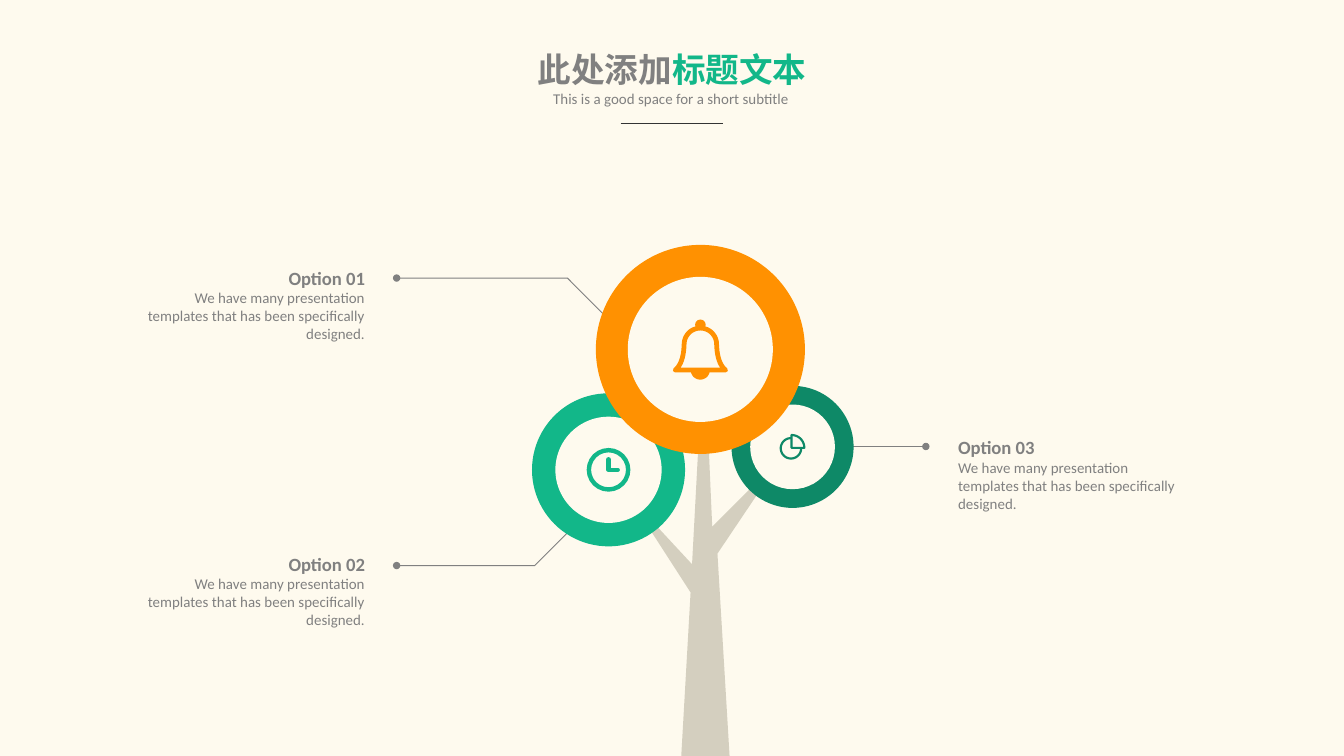
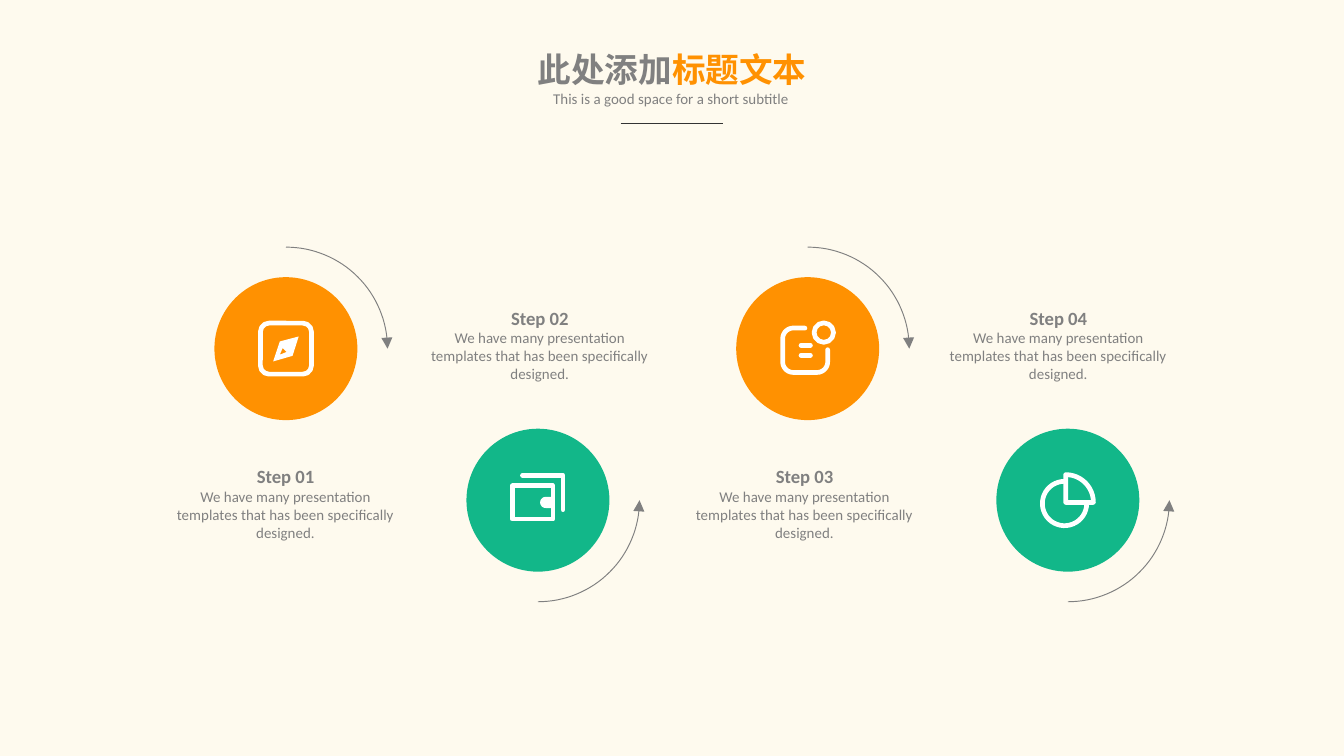
from dataclasses import dataclass
from math import cos, radians, sin

from lxml.etree import SubElement
from pptx import Presentation
from pptx.dml.color import RGBColor
from pptx.enum.shapes import MSO_CONNECTOR, MSO_SHAPE
from pptx.enum.text import MSO_ANCHOR, MSO_AUTO_SIZE, PP_ALIGN
from pptx.oxml.ns import qn
from pptx.util import Pt

HUES = {
    "cream": "FEFAEE", "gray": "808080", "dark": "333333", "bark": "2E2403",
    "orange": "FF9101", "mint": "12B789", "pine": "0E8967", "white": "FFFFFF",
}
FONT = "Calibri"
BLURB = "We have many presentation templates that has been specifically designed."


def hue(name):
    return RGBColor.from_string(HUES[name])


def arc(x, y, r, start, end, steps=32):
    turns = [radians(start + (end - start) * i / steps) for i in range(steps + 1)]
    return [(x + r * cos(t), y + r * sin(t)) for t in turns]


def bend(a, b, c, steps=10):
    ts = [i / steps for i in range(steps + 1)]
    return [tuple((1 - t) ** 2 * p + 2 * t * (1 - t) * q + t * t * r
                  for p, q, r in zip(a, b, c)) for t in ts]


def paint(shape, color, width=0):
    shape.shadow.inherit = False
    if width:
        shape.fill.background()
        shape.line.color.rgb = hue(color)
        shape.line.width = Pt(width)
    else:
        shape.fill.solid()
        shape.fill.fore_color.rgb = hue(color)
        shape.line.fill.background()
    return shape


def disc(page, x, y, size, color, width=0):
    shape = page.shapes.add_shape(
        MSO_SHAPE.OVAL, Pt(x - size / 2), Pt(y - size / 2), Pt(size), Pt(size))
    return paint(shape, color, width)


def trace(page, dots, color, width=0, closed=False, hole=()):
    dots = [(Pt(x), Pt(y)) for x, y in dots]
    form = page.shapes.build_freeform(*dots[0])
    form.add_line_segments(dots[1:], close=closed)
    if hole:
        inner = [(Pt(x), Pt(y)) for x, y in hole]
        form.move_to(*inner[0])
        form.add_line_segments(inner[1:], close=True)
    return paint(form.convert_to_shape(), color, width)


def tip(shape, kind, size="med"):
    SubElement(shape.line._get_or_add_ln(), qn("a:tailEnd"),
               type=kind, w=size, len=size)


def rule(page, x, y, end, color):
    line = page.shapes.add_connector(
        MSO_CONNECTOR.STRAIGHT, Pt(x), Pt(y), Pt(end), Pt(y))
    line.line.color.rgb = hue(color)
    line.line.width = Pt(0.5)
    SubElement(line._element.spPr, qn("a:effectLst"))
    return line


def style(para, size, align, bold=False):
    para.alignment = align
    para.font.name = FONT
    para.font.size = Pt(size)
    para.font.bold = bold
    para.font.color.rgb = hue("gray")


def note(page, x, y, head, align):
    frame = page.shapes.add_textbox(Pt(x), Pt(y), Pt(119), Pt(41)).text_frame
    frame.margin_left = frame.margin_right = 0
    frame.margin_top = frame.margin_bottom = 0
    frame.word_wrap = True
    frame.text = f"{head}\n{BLURB}"
    style(frame.paragraphs[0], 10, align, True)
    style(frame.paragraphs[1], 8, align)


@dataclass
class Pen:
    page: object
    x: float
    y: float
    size: float
    color: str

    def spot(self, x, y):
        return self.x + (x - 0.5) * self.size, self.y + (y - 0.5) * self.size

    def disc(self, x, y, size, width=0):
        disc(self.page, *self.spot(x, y), size * self.size, self.color,
             width * self.size)

    def fill(self, dots, hole=()):
        trace(self.page, [self.spot(*d) for d in dots], self.color, closed=True,
              hole=[self.spot(*d) for d in hole])

    def draw(self, dots, width=0.085, closed=False):
        shape = trace(self.page, [self.spot(*d) for d in dots], self.color,
                      width * self.size, closed)
        edge = shape.line._get_or_add_ln()
        edge.set("cap", "rnd")
        SubElement(edge, qn("a:round"))


def bell(pen):
    pen.draw(bend((0.05, 0.87), (0.2, 0.75), (0.21, 0.41))
             + arc(0.5, 0.41, 0.29, 180, 360)
             + bend((0.79, 0.41), (0.8, 0.75), (0.95, 0.87)), closed=True)
    pen.disc(0.5, 0.06, 0.19)
    pen.fill(arc(0.5, 0.87, 0.17, 0, 180))


def clock(pen):
    pen.disc(0.5, 0.5, 0.9, 0.1)
    pen.draw([(0.5, 0.26), (0.5, 0.5), (0.71, 0.5)], 0.1)


def pie(pen):
    pen.draw(arc(0.44, 0.56, 0.4, 0, 270))
    pen.draw([(0.46, 0.54)] + arc(0.46, 0.54, 0.5, 270, 360), closed=True)


def compass(pen):
    x, y = pen.spot(0.04, 0.04)
    side = Pt(0.92 * pen.size)
    box = pen.page.shapes.add_shape(
        MSO_SHAPE.ROUNDED_RECTANGLE, Pt(x), Pt(y), side, side)
    paint(box, pen.color, 0.085 * pen.size)
    pen.fill([(0.73, 0.28), (0.39, 0.37), (0.27, 0.73), (0.62, 0.63)],
             [(0.39, 0.61), (0.44, 0.49), (0.51, 0.56)])


def wallet(pen):
    pen.draw([(0.04, 0.24), (0.77, 0.24), (0.77, 0.84), (0.04, 0.84)], closed=True)
    pen.fill(arc(0.64, 0.54, 0.1, 90, 270) + [(0.77, 0.44), (0.77, 0.64)])
    pen.draw([(0.22, 0.05), (0.95, 0.05), (0.95, 0.67)])


def memo(pen):
    pen.draw([(0.45, 0.13)] + arc(0.24, 0.32, 0.19, 270, 180)
             + arc(0.24, 0.74, 0.19, 180, 90) + arc(0.67, 0.74, 0.19, 90, 0)
             + [(0.86, 0.52)])
    pen.disc(0.79, 0.21, 0.35, 0.085)
    for y in (0.44, 0.62):
        pen.draw([(0.38, y), (0.55, y)])


def header(page, accent):
    title = page.shapes.title
    title.left, title.top, title.width, title.height = (
        Pt(279.5), Pt(22.5), Pt(161), Pt(29))
    frame = title.text_frame
    frame.word_wrap = False
    frame.auto_size = MSO_AUTO_SIZE.NONE
    frame.vertical_anchor = MSO_ANCHOR.TOP
    para = frame.paragraphs[0]
    style(para, 18, PP_ALIGN.CENTER, True)
    for text, color in (("此处添加", "gray"), ("标题文本", accent)):
        run = para.add_run()
        run.text = text
        run.font.color.rgb = hue(color)
    sub = page.shapes.add_textbox(Pt(288.5), Pt(44.5), Pt(142), Pt(17)).text_frame
    sub.word_wrap = False
    sub.text = "This is a good space for a short subtitle"
    style(sub.paragraphs[0], 8, PP_ALIGN.CENTER)
    rule(page, 332.5, 66, 387.5, "dark")


def trunk(page, x, y):
    dots = [(28.8, 223), (54.7, 223), (48.2, 114.6), (83.5, 62), (45.4, 100.2),
            (41, 0), (34.6, 120.3), (0, 83), (33.8, 135.4)]
    shape = trace(page, [(x + a, y + b) for a, b in dots], "bark", closed=True)
    tint = shape.fill._xPr.find(".//" + qn("a:srgbClr"))
    SubElement(tint, qn("a:alpha"), val="20000")


def ring(page, x, y, size, color):
    disc(page, x, y, size, color)
    disc(page, x, y, 0.694 * size, "cream")


def tree(page):
    header(page, "mint")
    for x, y, num, align in ((76.5, 296, 2, PP_ALIGN.RIGHT),
                             (76.5, 142.8, 1, PP_ALIGN.RIGHT),
                             (513.3, 233.7, 3, PP_ALIGN.LEFT)):
        note(page, x, y, f"Option {num:02}", align)
    for dots in ([(325.5, 170.6), (304, 149), (212.5, 149)],
                 [(306.5, 283), (286.5, 303), (212.5, 303)]):
        tip(trace(page, dots, "gray", 0.5), "oval", "sm")
    tip(rule(page, 453, 239.2, 496, "gray"), "oval", "sm")
    trunk(page, 336.2, 182)
    crowns = ((424.6, 239.4, 65.4, "pine", pie, 13.7),
              (326, 251.7, 82, "mint", clock, 23.4),
              (375.2, 187.2, 112, "orange", bell, 30))
    for x, y, size, color, _, _ in crowns:
        ring(page, x, y, size, color)
    for x, y, _, color, icon, size in crowns:
        icon(Pen(page, x, y, size, color))


def step(page, x, y, color, icon, rise):
    disc(page, x, y, 76.6, color)
    start = 90 if rise else 270
    end = 0 if rise else 360
    tip(trace(page, arc(x, y, 54.4, start, end), "gray", 0.5), "triangle")
    icon(Pen(page, x, y, 29.7, "white"))


def steps(page):
    header(page, "orange")
    parts = ((153.2, 93.5, compass), (288.2, 229.7, wallet),
             (432.7, 371.5, memo), (572.1, 507.5, pie))
    for i, (x, left, icon) in enumerate(parts):
        low = i % 2 == 1
        step(page, x, 268 if low else 186.8, "mint" if low else "orange", icon, low)
        note(page, left, 164.2 if low else 249.1, f"Step {i + 1:02}", PP_ALIGN.CENTER)


def main():
    deck = Presentation()
    deck.slide_width, deck.slide_height = Pt(720), Pt(405)
    back = deck.slide_master.background.fill
    back.solid()
    back.fore_color.rgb = hue("cream")
    for build in (tree, steps):
        build(deck.slides.add_slide(deck.slide_layouts[5]))
    deck.save("out.pptx")


if __name__ == "__main__":
    main()
